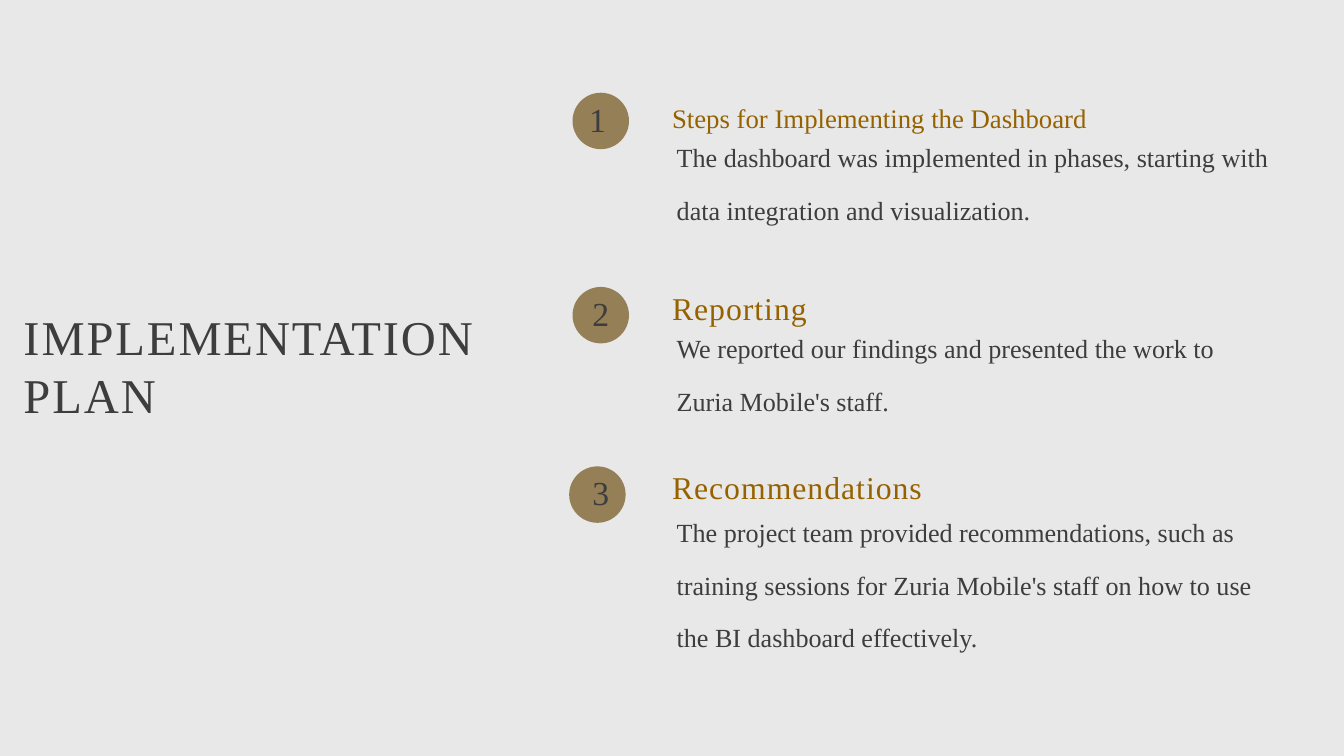
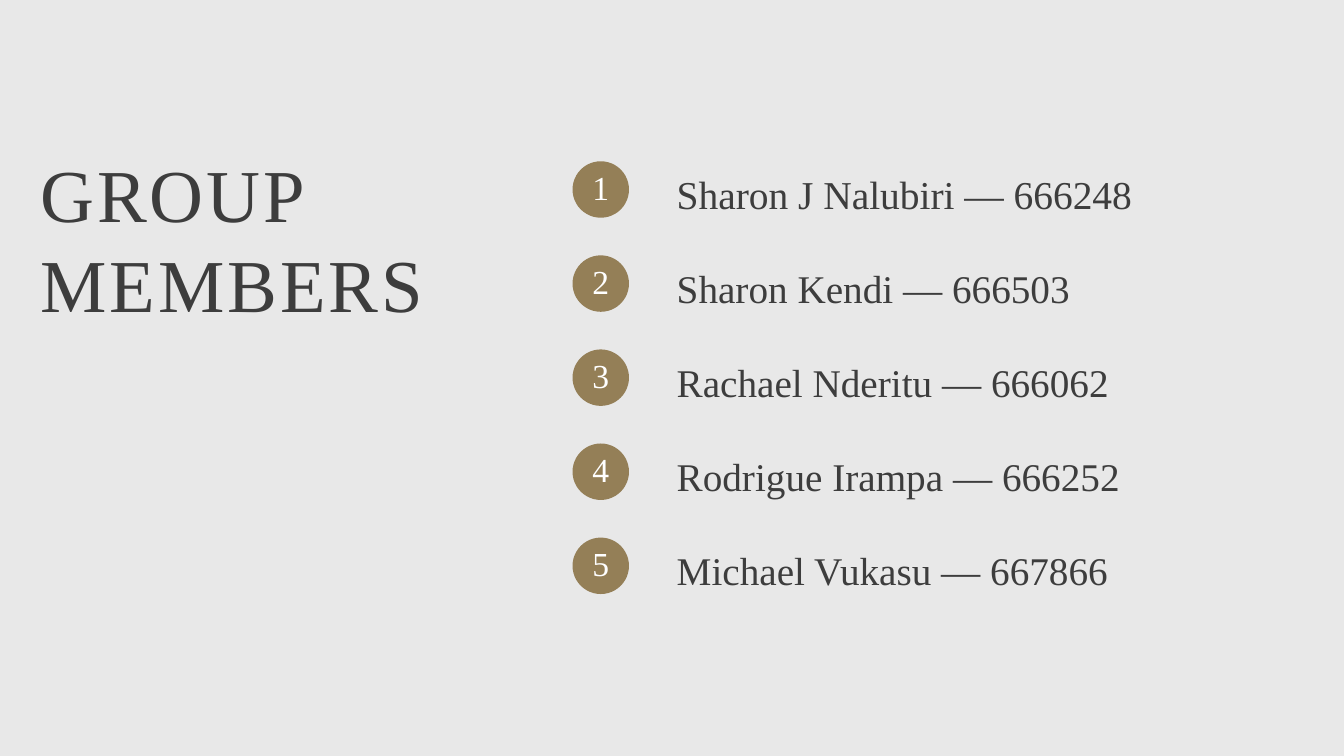
from dataclasses import dataclass

from pptx import Presentation
from pptx.dml.color import RGBColor
from pptx.enum.shapes import MSO_SHAPE
from pptx.enum.text import MSO_AUTO_SIZE, PP_ALIGN
from pptx.slide import Slide
from pptx.util import Inches, Pt

COLORS = {
    "background": "E8E8E8",
    "badge": "947F57",
    "heading": "966200",
    "text": "3D3D3D",
    "white": "FFFFFF",
}
FONT = "Times New Roman"
FRAME = {
    "margin_left": 0,
    "margin_top": 0,
    "margin_right": 0,
    "margin_bottom": 0,
    "word_wrap": True,
    "auto_size": MSO_AUTO_SIZE.SHAPE_TO_FIT_TEXT,
}
BADGE_LEFT, BADGE_SIZE = 8.52, 0.84
NUMBER_LEFT = 8.64
HEADING_LEFT, BODY_LEFT = 10, 10.07
BODY_WIDTH = 8.81
MEMBER_TOP, MEMBER_PITCH = 2.4, 1.4


@dataclass(frozen=True)
class TextStyle:
    """Look of a text; leading is a multiple of size, tracking is in points."""
    size: float
    color: str = "text"
    leading: float = 2
    tracking: float = 0
    align: PP_ALIGN = PP_ALIGN.LEFT


@dataclass(frozen=True)
class Step:
    heading: str
    body: str
    badge_top: float
    heading_top: float
    body_top: float
    body_height: float = 2.3
    heading_style: TextStyle = TextStyle(34, "heading", tracking=1.1)
    heading_width: float = 8.01
    heading_height: float = 0.92
    badge_left: float = BADGE_LEFT
    number_left: float = NUMBER_LEFT


@dataclass(frozen=True)
class Member:
    name: str
    number: int
    size: float = 42
    width: float = 8.01


BODY = TextStyle(28)
STEP_NUMBER = TextStyle(36, leading=1.57, tracking=1.1, align=PP_ALIGN.CENTER)
MEMBER_NUMBER = TextStyle(36, "white", leading=1.57, align=PP_ALIGN.CENTER)
PLAN_TITLE = TextStyle(52, leading=1.2, tracking=2.1)
GROUP_TITLE = TextStyle(80, leading=1.2, tracking=3.2)

STEPS = [
    Step("Steps for Implementing the Dashboard",
         "The dashboard was implemented in phases, starting with "
         "data integration and visualization.",
         1.38, 1.2, 1.8, heading_style=TextStyle(28.7, "heading"),
         heading_width=8.88, heading_height=0.77, number_left=8.59),
    Step("Reporting",
         "We reported our findings and presented the work to "
         "Zuria Mobile's staff.",
         4.27, 3.92, 4.64),
    Step("Recommendations",
         "The project team provided recommendations, such as training "
         "sessions for Zuria Mobile's staff on how to use the BI dashboard "
         "effectively.",
         6.94, 6.58, 7.38, body_height=3.07, badge_left=8.47),
]
MEMBERS = [
    Member("Sharon J Nalubiri", 666248, size=42.3, width=BODY_WIDTH),
    Member("Sharon Kendi", 666503),
    Member("Rachael Nderitu", 666062),
    Member("Rodrigue Irampa", 666252),
    Member("Michael Vukasu", 667866),
]


def rgb(name: str) -> RGBColor:
    return RGBColor.from_string(COLORS[name])


def add_slide(prs: Presentation) -> Slide:
    s = prs.slides.add_slide(prs.slide_layouts[6])
    s.background.fill.solid()
    s.background.fill.fore_color.rgb = rgb("background")
    return s


def add_text(s: Slide, text: str, left: float, top: float, width: float,
             height: float, style: TextStyle) -> None:
    box = s.shapes.add_textbox(Inches(left), Inches(top), Inches(width), Inches(height))
    tf = box.text_frame
    for name, value in FRAME.items():
        setattr(tf, name, value)
    p = tf.paragraphs[0]
    p.alignment = style.align
    p.line_spacing = Pt(round(style.size * style.leading, 1))
    r = p.add_run()
    r.text = text
    for name, value in {"name": FONT, "size": Pt(style.size)}.items():
        setattr(r.font, name, value)
    r.font.color.rgb = rgb(style.color)
    if style.tracking:
        r.font._element.set("spc", str(round(style.tracking * 100)))


def add_badge(s: Slide, number: int, top: float, style: TextStyle,
              left: float = BADGE_LEFT, number_left: float = NUMBER_LEFT) -> None:
    """Draw a filled circle with its number on top."""
    sp = s.shapes.add_shape(MSO_SHAPE.OVAL, Inches(left), Inches(top),
                            Inches(BADGE_SIZE), Inches(BADGE_SIZE))
    sp.shadow.inherit = False
    sp.fill.solid()
    sp.fill.fore_color.rgb = rgb("badge")
    sp.line.fill.background()
    add_text(s, str(number), number_left, top - 0.1, 0.6, 0.81, style)


def build_plan(prs: Presentation) -> None:
    s = add_slide(prs)
    add_text(s, "IMPLEMENTATION PLAN", 0.35, 4.57, 7.8, 1.84, PLAN_TITLE)
    for number, step in enumerate(STEPS, 1):
        add_badge(s, number, step.badge_top, STEP_NUMBER, step.badge_left, step.number_left)
        add_text(s, step.heading, HEADING_LEFT, step.heading_top,
                 step.heading_width, step.heading_height, step.heading_style)
        add_text(s, step.body, BODY_LEFT, step.body_top, BODY_WIDTH, step.body_height, BODY)


def build_members(prs: Presentation) -> None:
    s = add_slide(prs)
    add_text(s, "GROUP MEMBERS", 0.6, 2.2, 6.36, 2.86, GROUP_TITLE)
    for i, member in enumerate(MEMBERS):
        top = MEMBER_TOP + i * MEMBER_PITCH
        add_badge(s, i + 1, top, MEMBER_NUMBER)
        add_text(s, f"{member.name} — {member.number}", BODY_LEFT, top - 0.34,
                 member.width, 1.15, TextStyle(member.size))


def main() -> None:
    prs = Presentation()
    prs.slide_width, prs.slide_height = Inches(20), Inches(11.25)
    build_plan(prs)
    build_members(prs)
    prs.save("out.pptx")


if __name__ == "__main__":
    main()
